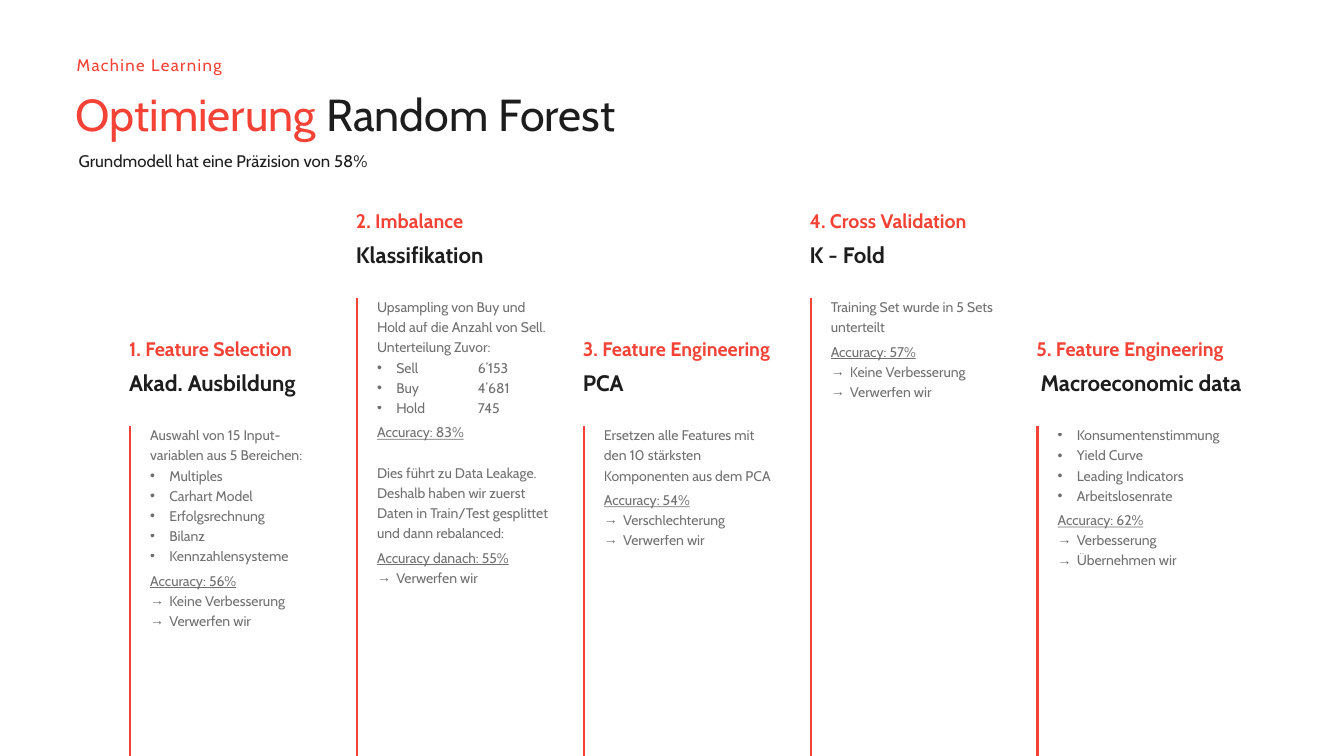
from dataclasses import dataclass

from lxml import etree
from pptx import Presentation
from pptx import util as u
from pptx.dml.color import RGBColor
from pptx.enum import shapes, text
from pptx.oxml.ns import qn


@dataclass(frozen=True)
class Theme:
    font: str = "Cabin"
    accent: str = "F44336"
    dark: str = "1D1D1D"
    grey: str = "343434"
    grey_alpha: int = 70
    title: int = 32
    heading: int = 16
    label: int = 14
    note: int = 12
    body: int = 10
    rule: float = 1.5


THEME = Theme()
SLIDE_WIDTH, SLIDE_HEIGHT = 13.33, 7.5
FIRST_COLUMN, COLUMN_STEP, COLUMN_WIDTH = 1.28, 2.25, 2.05
ROWS = {"high": 2.11, "low": 3.38}
HEADING_DROP, RULE_DROP, BODY_DROP = 0.33, 0.85, 0.82
BODY_INDENT, LIST_INDENT, TAB_WIDTH = 0.21, 0.19, 1

LINE_STYLES = {
    "text": {},
    "gap": {"space_before": u.Pt(14.5)},
    "result": {"space_before": u.Pt(3)},
    "•": {},
    "→": {},
}

STEPS = [
    ("low", "1. Feature Selection", "Akad. Ausbildung", 0, 2.08, [
        ("text", "Auswahl von 15 Input-variablen aus 5 Bereichen:"),
        ("•", "Multiples"),
        ("•", "Carhart Model"),
        ("•", "Erfolgsrechnung"),
        ("•", "Bilanz"),
        ("•", "Kennzahlensysteme"),
        ("result", "Accuracy: 56%"),
        ("→", "Keine Verbesserung"),
        ("→", "Verwerfen wir"),
    ]),
    ("high", "2. Imbalance", "Klassifikation", 0, 3.13, [
        ("text", "Upsampling von Buy und Hold auf die Anzahl von Sell. "
                 "Unterteilung Zuvor:"),
        ("•", "Sell\t6’153"),
        ("•", "Buy\t4’681"),
        ("•", "Hold\t745"),
        ("result", "Accuracy: 83%"),
        ("gap", "Dies führt zu Data Leakage. Deshalb haben wir zuerst Daten "
                "in Train/Test gesplittet und dann rebalanced:"),
        ("result", "Accuracy danach: 55%"),
        ("→", "Verwerfen wir"),
    ]),
    ("low", "3. Feature Engineering", "PCA", 0, 1.48, [
        ("text", "Ersetzen alle Features mit den 10 stärksten Komponenten "
                 "aus dem PCA"),
        ("result", "Accuracy: 54%"),
        ("→", "Verschlechterung"),
        ("→", "Verwerfen wir"),
    ]),
    ("high", "4. Cross Validation", "K - Fold", 0, 1.07, [
        ("text", "Training Set wurde in 5 Sets unterteilt"),
        ("result", "Accuracy: 57%"),
        ("→", "Keine Verbesserung"),
        ("→", "Verwerfen wir"),
    ]),
    ("low", "5. Feature Engineering", "Macroeconomic data", 0.04, 1.68, [
        ("•", "Konsumentenstimmung"),
        ("•", "Yield Curve"),
        ("•", "Leading Indicators"),
        ("•", "Arbeitslosenrate"),
        ("result", "Accuracy: 62%"),
        ("→", "Verbesserung"),
        ("→", "Übernehmen wir"),
    ]),
]


def apply(target, values):
    for name, value in values.items():
        setattr(target, name, value)


def place(shape, left, top, width, height, anchor="TOP", inset_right=0):
    apply(shape, {"left": u.Inches(left), "top": u.Inches(top),
                  "width": u.Inches(width), "height": u.Inches(height)})
    apply(shape.text_frame, {
        "word_wrap": True,
        "auto_size": text.MSO_AUTO_SIZE.SHAPE_TO_FIT_TEXT,
        "vertical_anchor": text.MSO_ANCHOR[anchor],
        "margin_left": 0, "margin_top": 0, "margin_bottom": 0,
        "margin_right": u.Inches(inset_right),
    })
    return shape.text_frame


def new_text_box(slide):
    return slide.shapes.add_textbox(0, 0, 0, 0)


def add_run(paragraph, content, size, color, **font_values):
    run = paragraph.add_run()
    run.text = content
    apply(run.font, {"name": THEME.font, "size": u.Pt(size),
                     "bold": False, **font_values})
    run.font.color.rgb = RGBColor.from_string(color)
    return run


def format_paragraph(paragraph, spacing, **values):
    apply(paragraph, {"alignment": text.PP_ALIGN.LEFT, "line_spacing": spacing,
                      "space_before": u.Pt(0), "space_after": u.Pt(0), **values})


def add_caption(slide, box, content, size, color, spacing, anchor="TOP", bold=False):
    paragraph = place(new_text_box(slide), *box, anchor=anchor).paragraphs[0]
    format_paragraph(paragraph, spacing)
    return add_run(paragraph, content, size, color, bold=bold)


def set_bullet(paragraph, mark):
    properties = paragraph._p.get_or_add_pPr()
    indent = u.Inches(LIST_INDENT) if mark else 0
    for name, value in {"marL": indent, "indent": -indent,
                        "defTabSz": u.Inches(TAB_WIDTH)}.items():
        properties.set(name, str(int(value)))
    if mark:
        etree.SubElement(properties, qn("a:buFont"), typeface="Arial")
        etree.SubElement(properties, qn("a:buChar"), char=mark)
    else:
        etree.SubElement(properties, qn("a:buNone"))


def fill_list(frame, lines):
    for index, (kind, content) in enumerate(lines):
        paragraph = frame.add_paragraph() if index else frame.paragraphs[0]
        format_paragraph(paragraph, 1.2, **LINE_STYLES[kind])
        set_bullet(paragraph, kind if kind in "•→" else None)
        run = add_run(paragraph, content, THEME.body, THEME.grey,
                      underline=kind == "result")
        color = run._r.find(".//" + qn("a:srgbClr"))
        etree.SubElement(color, qn("a:alpha"), val=str(THEME.grey_alpha * 1000))


def add_rule(slide, left, top):
    rule = slide.shapes.add_connector(
        shapes.MSO_CONNECTOR.STRAIGHT, u.Inches(left), u.Inches(top),
        u.Inches(left), u.Inches(SLIDE_HEIGHT))
    rule.line.color.rgb = RGBColor.from_string(THEME.accent)
    rule.line.width = u.Pt(THEME.rule)
    etree.SubElement(rule._element.spPr, qn("a:effectLst"))


def add_step(slide, body, left, step):
    row, label, heading, shift, height, lines = step
    top = ROWS[row]
    add_caption(slide, (left, top, COLUMN_WIDTH, 0.19), label,
                THEME.label, THEME.accent, 0.8, anchor="BOTTOM", bold=True)
    add_caption(slide, (left + shift, top + HEADING_DROP, COLUMN_WIDTH + 0.2, 0.22),
                heading, THEME.heading, THEME.dark, 0.8, bold=True)
    add_rule(slide, left + 0.01, top + RULE_DROP)
    frame = place(body, left + BODY_INDENT, top + BODY_DROP,
                  COLUMN_WIDTH - BODY_INDENT, height, inset_right=0.1)
    fill_list(frame, lines)


def add_header(slide):
    paragraph = place(slide.shapes.title, 0.75, 0.81, 7.18, 0.55).paragraphs[0]
    format_paragraph(paragraph, 1.1)
    add_run(paragraph, "Optimierung", THEME.title, THEME.accent)
    add_run(paragraph, " Random Forest", THEME.title, THEME.dark)
    add_caption(slide, (0.78, 1.4, 7.15, 0.27),
                "Grundmodell hat eine Präzision von 58%",
                THEME.note, THEME.dark, 1.5)
    topic = add_caption(slide, (0.76, 0.52, 1.98, 0.22), "Machine Learning",
                        THEME.note, THEME.accent, 1.2, anchor="BOTTOM")
    topic.font._element.set("spc", "100")


def main():
    presentation = Presentation()
    apply(presentation, {"slide_width": u.Inches(SLIDE_WIDTH),
                         "slide_height": u.Inches(SLIDE_HEIGHT)})
    layout = presentation.slide_layouts.get_by_name("Comparison")
    slide = presentation.slides.add_slide(layout)
    bodies = list(slide.placeholders)[1:]
    bodies.append(new_text_box(slide))
    add_header(slide)
    for column, (body, step) in enumerate(zip(bodies, STEPS)):
        add_step(slide, body, FIRST_COLUMN + column * COLUMN_STEP, step)
    presentation.save("out.pptx")


if __name__ == "__main__":
    main()
